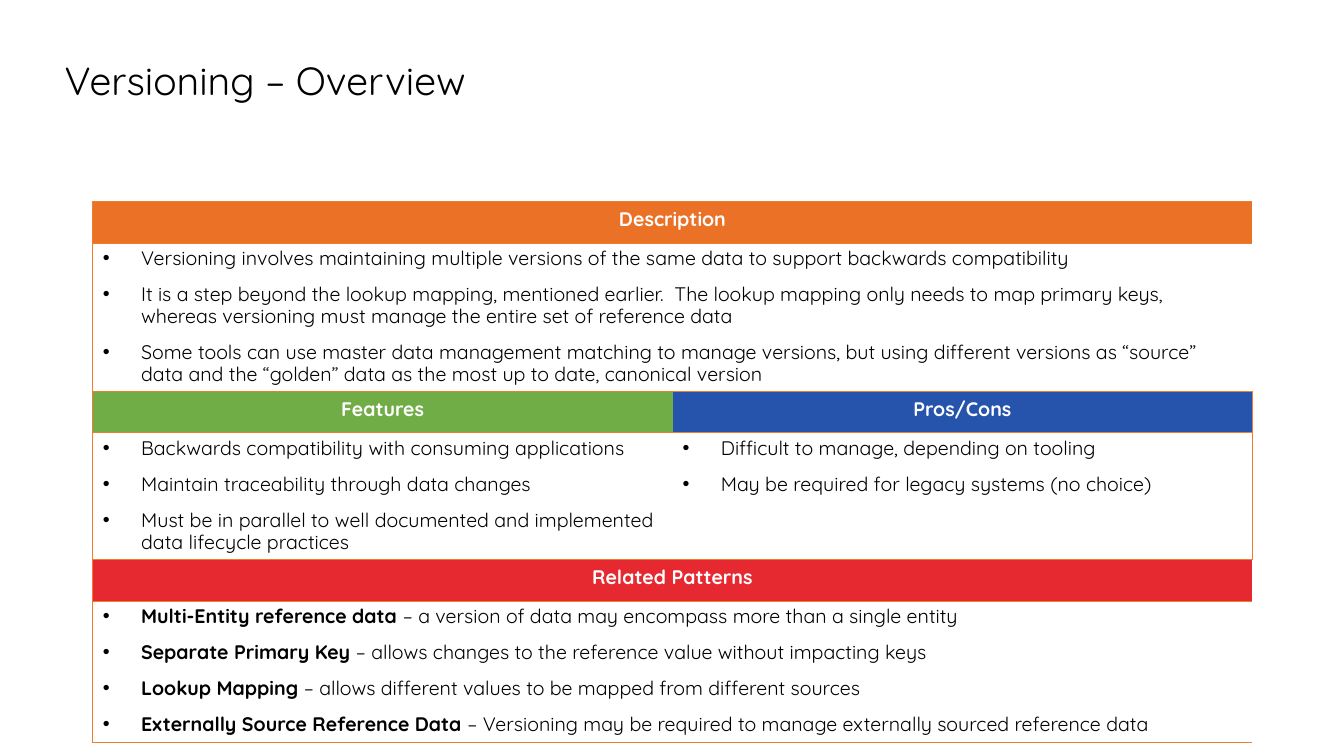
from lxml.etree import SubElement
from pptx import Presentation
from pptx.dml.color import RGBColor
from pptx.enum.text import MSO_ANCHOR, PP_ALIGN
from pptx.oxml.ns import qn
from pptx.util import Inches, Pt

FONT = "Quicksand"
COLORS = {
    "text": "000000", "header_text": "FFFFFF", "body": "FFFFFF", "border": "ED7D31",
    "description": "EB7127", "features": "71AD47", "pros_cons": "2654AC", "related": "E62830",
}
TITLE = "Versioning – Overview"

# Each band: height of its body row, then its sections as (heading, color, bullets).
# Each bullet: (bold lead, plain text).
BANDS = [
    (1.47, [("Description", "description", [
        ("", "Versioning involves maintaining multiple versions of the same data to support "
             "backwards compatibility"),
        ("", "It is a step beyond the lookup mapping, mentioned earlier.  The lookup mapping only "
             "needs to map primary keys, whereas versioning must manage the entire set of "
             "reference data"),
        ("", "Some tools can use master data management matching to manage versions, but using "
             "different versions as “source” data and the “golden” data as the most up to date, "
             "canonical version"),
    ])]),
    (1.26, [
        ("Features", "features", [
            ("", "Backwards compatibility with consuming applications"),
            ("", "Maintain traceability through data changes"),
            ("", "Must be in parallel to well documented and implemented data lifecycle practices"),
        ]),
        ("Pros/Cons", "pros_cons", [
            ("", "Difficult to manage, depending on tooling"),
            ("", "May be required for legacy systems (no choice)"),
        ]),
    ]),
    (1.4, [("Related Patterns", "related", [
        ("Multi-Entity reference data ",
         "– a version of data may encompass more than a single entity"),
        ("Separate Primary Key ",
         "– allows changes to the reference value without impacting keys"),
        ("Lookup Mapping ",
         "– allows different values to be mapped from different sources"),
        ("Externally Source Reference Data ",
         "– Versioning may be required to manage externally sourced reference data"),
    ])]),
]
COLUMNS = 2
COLUMN_WIDTH = 5.75
HEADER_HEIGHT = 0.41
HANGING_INDENT = Inches(0.38)


def add_run(paragraph, text, size, color, bold=False):
    run = paragraph.add_run()
    run.text = text
    for name, value in {"name": FONT, "size": Pt(size), "bold": bold}.items():
        setattr(run.font, name, value)
    run.font.color.rgb = RGBColor.from_string(COLORS[color])


def set_borders(cell, column):
    """Draw horizontal rules and the outer sides, with no line between columns."""
    visible = {"L": column == 0, "R": column == COLUMNS - 1, "T": True, "B": True}
    properties = cell._tc.get_or_add_tcPr()
    for side, shown in visible.items():
        line = SubElement(properties, qn(f"a:ln{side}"), w=str(Pt(0.5)))
        if shown:
            fill = SubElement(line, qn("a:solidFill"))
            SubElement(fill, qn("a:srgbClr"), val=COLORS["border"])
        else:
            SubElement(line, qn("a:noFill"))


def fill_header(cell, heading):
    paragraph = cell.text_frame.paragraphs[0]
    paragraph.alignment = PP_ALIGN.CENTER
    add_run(paragraph, heading, 14, "header_text", bold=True)


def fill_bullets(cell, bullets):
    frame = cell.text_frame
    for index, (lead, text) in enumerate(bullets):
        paragraph = frame.add_paragraph() if index else frame.paragraphs[0]
        properties = paragraph._p.get_or_add_pPr()
        properties.set("marL", str(HANGING_INDENT))
        properties.set("indent", str(-HANGING_INDENT))
        SubElement(properties, qn("a:buFont"), typeface="Arial")
        SubElement(properties, qn("a:buChar"), char="•")
        paragraph.line_spacing = 0.9
        if index:
            paragraph.space_before = Pt(10)
        if lead:
            add_run(paragraph, lead, 14, "text", bold=True)
        add_run(paragraph, text, 14, "text")


def add_title(slide):
    title = slide.shapes.title
    box = {"left": 0.54, "top": 0.54, "width": 10.59, "height": 0.56}
    for name, value in box.items():
        setattr(title, name, Inches(value))
    title.text_frame.vertical_anchor = MSO_ANCHOR.MIDDLE
    paragraph = title.text_frame.paragraphs[0]
    paragraph.alignment = PP_ALIGN.LEFT
    paragraph.line_spacing = 0.9
    add_run(paragraph, TITLE, 28, "text")


def add_overview_table(slide):
    heights = [height for body, _ in BANDS for height in (HEADER_HEIGHT, body)]
    table = slide.shapes.add_table(
        len(heights), COLUMNS, Inches(0.92), Inches(2),
        Inches(COLUMNS * COLUMN_WIDTH), Inches(sum(heights))).table
    table.first_row = table.horz_banding = False
    for column in table.columns:
        column.width = Inches(COLUMN_WIDTH)
    for row, height in zip(table.rows, heights):
        row.height = Inches(height)

    for band, (_, sections) in enumerate(BANDS):
        for row in (2 * band, 2 * band + 1):
            is_header = row % 2 == 0
            for column in range(COLUMNS):
                cell = table.cell(row, column)
                color = sections[min(column, len(sections) - 1)][1] if is_header else "body"
                set_borders(cell, column)
                cell.fill.solid()
                cell.fill.fore_color.rgb = RGBColor.from_string(COLORS[color])
            if len(sections) == 1:
                table.cell(row, 0).merge(table.cell(row, COLUMNS - 1))
            for column, (heading, _, bullets) in enumerate(sections):
                cell = table.cell(row, column)
                if is_header:
                    fill_header(cell, heading)
                else:
                    fill_bullets(cell, bullets)


def main():
    presentation = Presentation()
    presentation.slide_width = Inches(13.33)
    presentation.slide_height = Inches(7.5)
    slide = presentation.slides.add_slide(presentation.slide_layouts[5])
    add_title(slide)
    add_overview_table(slide)
    presentation.save("out.pptx")


if __name__ == "__main__":
    main()
